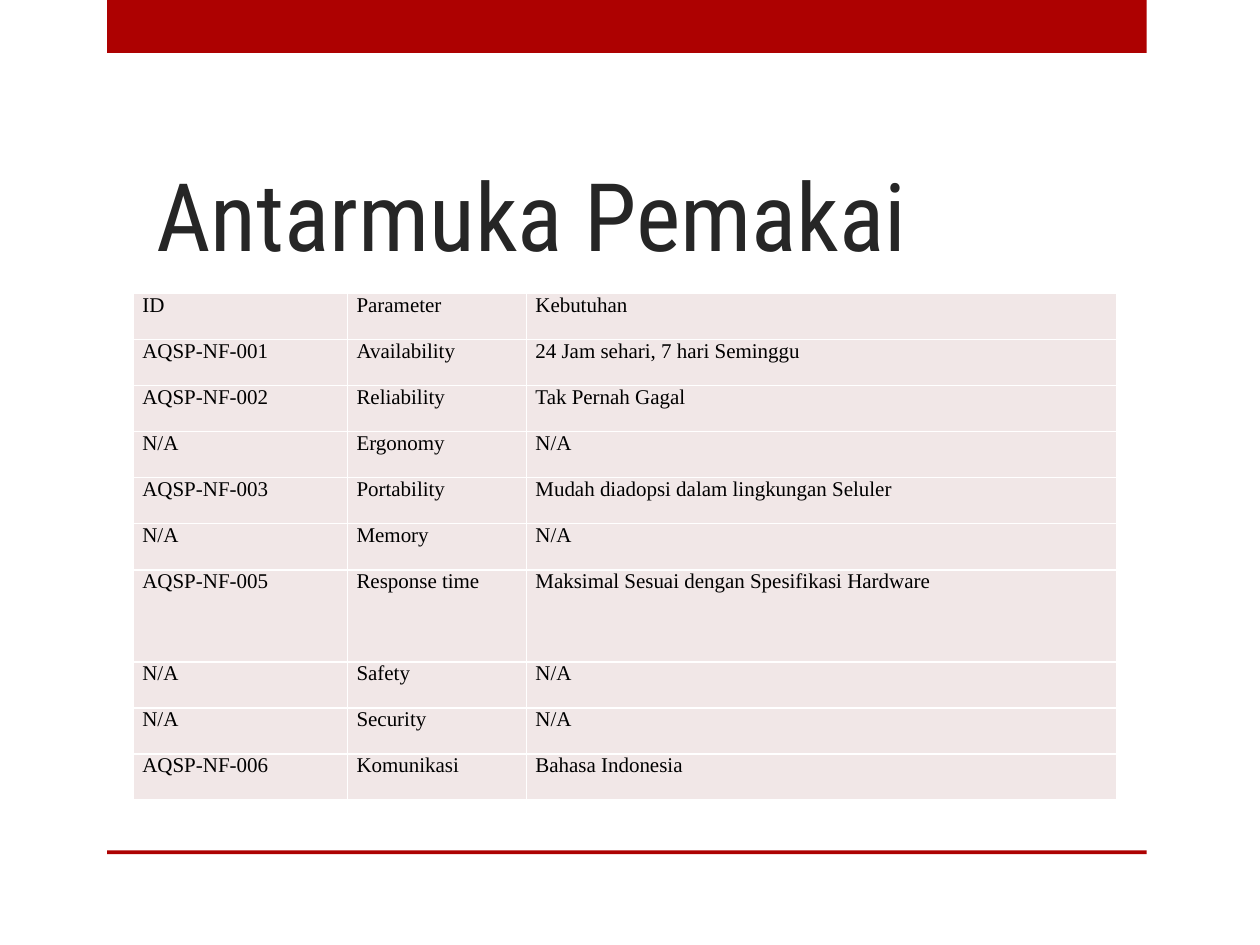
"""Build the user interface requirements slide."""
from lxml import etree
from pptx import Presentation
from pptx.dml.color import RGBColor
from pptx.enum import shapes, text
from pptx.oxml import ns
from pptx.util import Inches, Pt

HUES = {"red": "AD0101", "ink": "262626", "black": "000000",
        "pink": "F1E7E7", "white": "FFFFFF"}
ROWS = [
    ("ID", "Parameter", "Kebutuhan"),
    ("AQSP-NF-001", "Availability", "24 Jam sehari, 7 hari Seminggu"),
    ("AQSP-NF-002", "Reliability", "Tak Pernah Gagal"),
    ("N/A", "Ergonomy", "N/A"),
    ("AQSP-NF-003", "Portability", "Mudah diadopsi dalam lingkungan Seluler"),
    ("N/A", "Memory", "N/A"),
    ("AQSP-NF-005", "Response time", "Maksimal Sesuai dengan Spesifikasi Hardware"),
    ("N/A", "Safety", "N/A"),
    ("N/A", "Security", "N/A"),
    ("AQSP-NF-006", "Komunikasi", "Bahasa Indonesia"),
]
WIDTHS = [1.7, 1.42, 4.68]
HIGH = 4.02
TALL = 6


def add_run(para, words, face, size, hue):
    run = para.add_run()
    run.text = words
    run.font.name = face
    run.font.size = Pt(size)
    run.font.color.rgb = RGBColor.from_string(HUES[hue])


def add_edges(cell, hue):
    props = cell._tc.get_or_add_tcPr()
    for side in ("lnL", "lnR", "lnT", "lnB"):
        line = etree.SubElement(props, ns.qn(f"a:{side}"), w=str(Pt(1)))
        fill = etree.SubElement(line, ns.qn("a:solidFill"))
        etree.SubElement(fill, ns.qn("a:srgbClr"), val=HUES[hue])


deck = Presentation()
deck.slide_width, deck.slide_height = Inches(10), Inches(7.5)
slide = deck.slides.add_slide(deck.slide_layouts[5])

for top, high in ((0, 0.42), (6.75, 0.03)):
    bar = slide.shapes.add_shape(shapes.MSO_SHAPE.RECTANGLE, Inches(0.85),
                                 Inches(top), Inches(8.25), Inches(high))
    bar.shadow.inherit = False
    bar.fill.solid()
    bar.fill.fore_color.rgb = RGBColor.from_string(HUES["red"])
    bar.line.fill.background()

title = slide.shapes.title
title.left, title.top = Inches(1.14), Inches(0.44)
title.width, title.height = Inches(7.42), Inches(1.75)
frame = title.text_frame
frame.auto_size = text.MSO_AUTO_SIZE.NONE
frame.vertical_anchor = text.MSO_ANCHOR.BOTTOM
frame.margin_bottom = Inches(0.03)
para = frame.paragraphs[0]
para.alignment = text.PP_ALIGN.LEFT
para.line_spacing = 0.9
add_run(para, "Antarmuka Pemakai", "Roboto Condensed", 54, "ink")

table = slide.shapes.add_table(len(ROWS), len(WIDTHS), Inches(1.06), Inches(2.33),
                               Inches(sum(WIDTHS)), Inches(HIGH)).table
table.first_row = table.horz_banding = False
for col, width in zip(table.columns, WIDTHS):
    col.width = Inches(width)

unit = HIGH / (len(ROWS) + 1)
for i, row in enumerate(ROWS):
    table.rows[i].height = Inches(unit * (2 if i == TALL else 1))
    for j, words in enumerate(row):
        cell = table.cell(i, j)
        cell.margin_left = cell.margin_right = Inches(0.07)
        cell.margin_top = cell.margin_bottom = 0
        add_edges(cell, "white")
        cell.fill.solid()
        cell.fill.fore_color.rgb = RGBColor.from_string(HUES["pink"])
        para = cell.text_frame.paragraphs[0]
        para.alignment = text.PP_ALIGN.JUSTIFY
        add_run(para, words, "Times New Roman", 12, "black")

deck.save("out.pptx")
